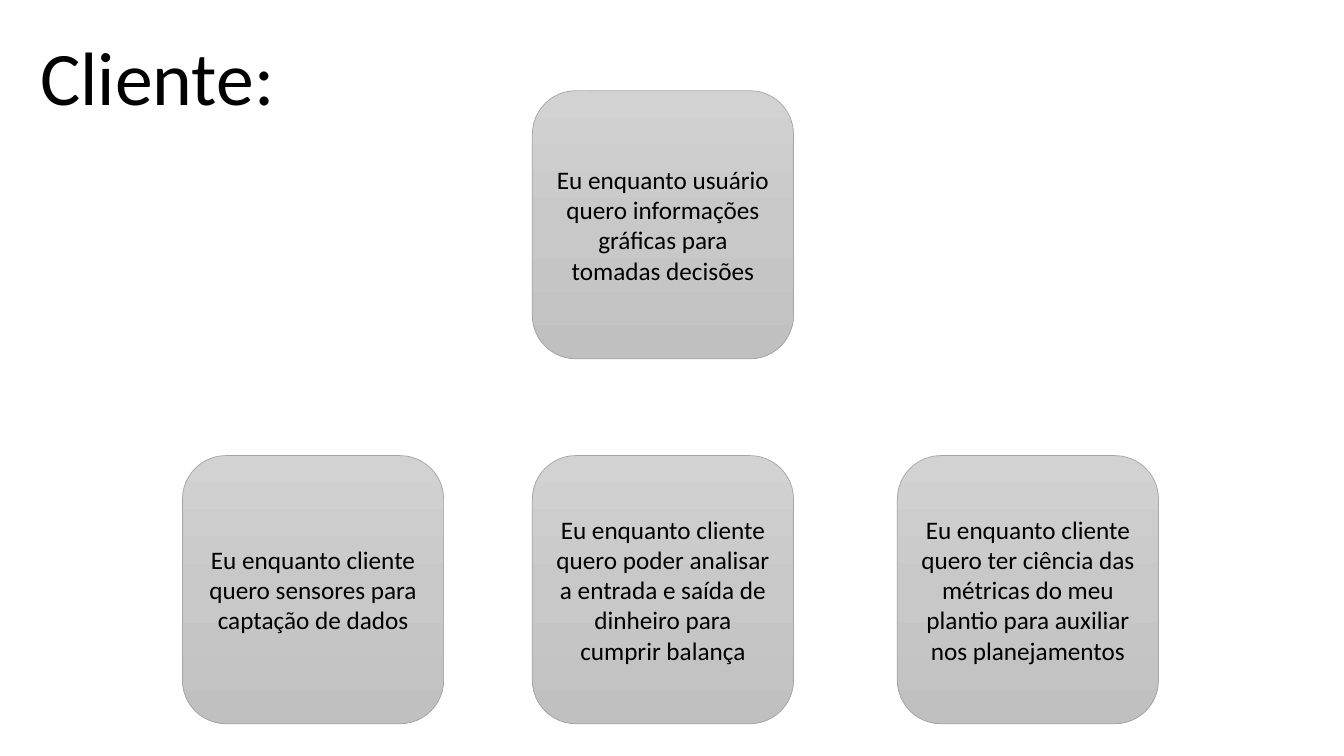
from copy import deepcopy

from pptx import Presentation
from pptx.dml.color import RGBColor
from pptx.enum.shapes import MSO_SHAPE
from pptx.enum.text import MSO_ANCHOR, MSO_AUTO_SIZE, PP_ALIGN
from pptx.oxml.ns import qn
from pptx.util import Inches, Pt

FONT = "Calibri"
COLORS = {
    "text": "000000",
    "outline": "A5A5A5",
    "card_top": "D2D2D2",
    "card_middle": "C8C8C8",
    "card_bottom": "C0C0C0",
}
CARD_WIDTH, CARD_HEIGHT = 2.59, 2.66
LEFT, CENTER, RIGHT = 1.81, 5.28, 8.9
TOP_ROW, BOTTOM_ROW = 0.9, 4.52
STORIES = [
    (CENTER, TOP_ROW,
     "Eu enquanto usuário quero informações gráficas para tomadas decisões"),
    (CENTER, BOTTOM_ROW,
     "Eu enquanto cliente quero poder analisar a entrada e saída de dinheiro "
     "para cumprir balança"),
    (LEFT, BOTTOM_ROW,
     "Eu enquanto cliente quero sensores para captação de dados"),
    (RIGHT, BOTTOM_ROW,
     "Eu enquanto cliente quero ter ciência das métricas do meu plantio para "
     "auxiliar nos planejamentos"),
]


def color(name):
    """Return the named colour."""
    return RGBColor.from_string(COLORS[name])


def write(shape, text, size, alignment, anchor):
    """Write one formatted run into a shape."""
    frame = shape.text_frame
    frame.word_wrap = True
    frame.vertical_anchor = anchor
    paragraph = frame.paragraphs[0]
    paragraph.alignment = alignment
    run = paragraph.add_run()
    run.text = text
    run.font.name = FONT
    run.font.size = Pt(size)
    run.font.color.rgb = color("text")


def fill_gradient(shape):
    """Fill a shape with a three-stop gradient from top to bottom."""
    shape.fill.gradient()
    shape.fill.gradient_angle = 270
    stop_list = next(shape.element.iter(qn("a:gsLst")))
    stop_list.insert(1, deepcopy(stop_list[0]))
    names = ("card_top", "card_middle", "card_bottom")
    for index, (stop, name) in enumerate(zip(shape.fill.gradient_stops, names)):
        stop.position = index / 2
        stop.color.rgb = color(name)


def add_title(slide, text):
    """Place and format the slide title."""
    title = slide.shapes.title
    title.left, title.top = Inches(0.3), Inches(0.25)
    title.width, title.height = Inches(3.48), Inches(1.01)
    write(title, text, 54, PP_ALIGN.LEFT, MSO_ANCHOR.TOP)
    title.text_frame.auto_size = MSO_AUTO_SIZE.SHAPE_TO_FIT_TEXT


def add_story_card(slide, left, top, text):
    """Add a rounded card holding one user story."""
    card = slide.shapes.add_shape(
        MSO_SHAPE.ROUNDED_RECTANGLE, Inches(left), Inches(top),
        Inches(CARD_WIDTH), Inches(CARD_HEIGHT))
    card.shadow.inherit = False
    fill_gradient(card)
    card.line.color.rgb = color("outline")
    card.line.width = Pt(0.5)
    write(card, text, 18, PP_ALIGN.CENTER, MSO_ANCHOR.MIDDLE)


def main():
    """Build and save the client stories slide."""
    presentation = Presentation()
    presentation.slide_width = Inches(13.33)
    presentation.slide_height = Inches(7.5)
    slide = presentation.slides.add_slide(presentation.slide_layouts[5])
    add_title(slide, "Cliente:")
    for left, top, text in STORIES:
        add_story_card(slide, left, top, text)
    presentation.save("out.pptx")


if __name__ == "__main__":
    main()
